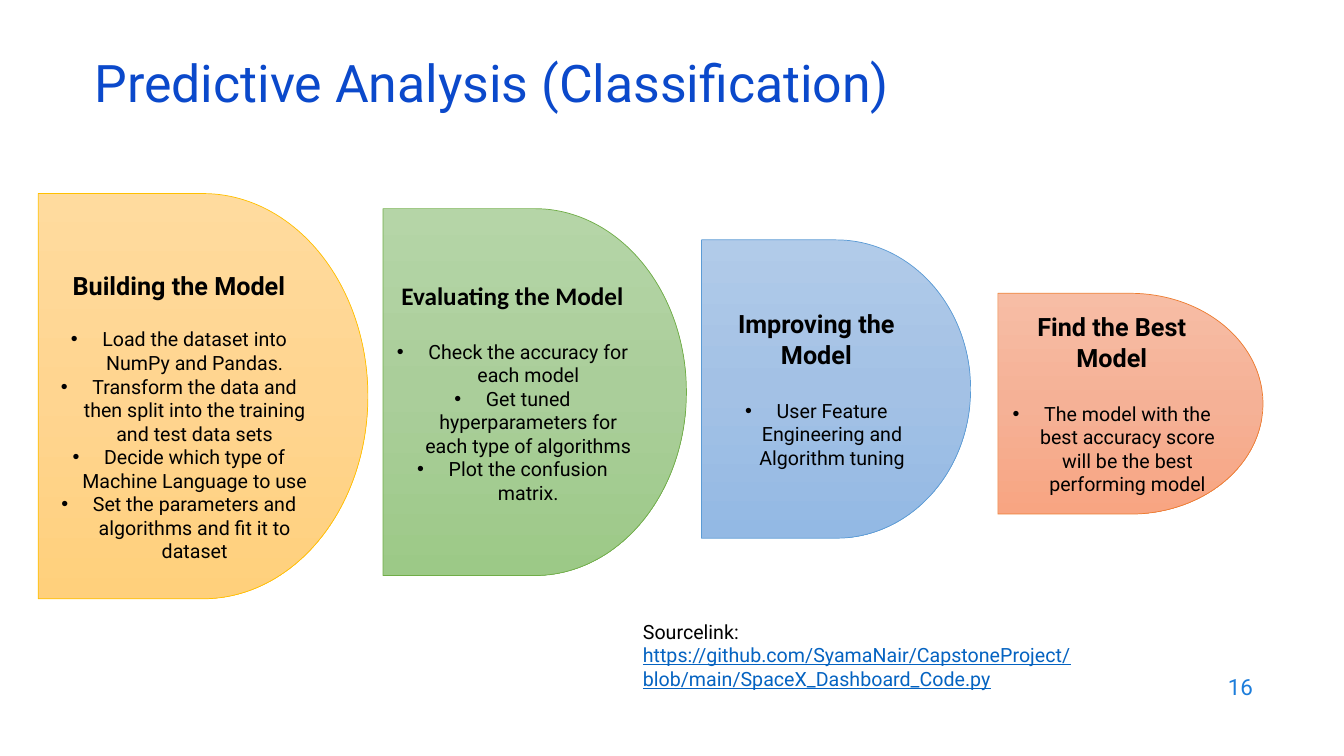
import copy
from dataclasses import dataclass

import pptx
import pptx.dml.color
import pptx.enum.shapes
import pptx.enum.text
import pptx.oxml
import pptx.oxml.ns
import pptx.util
from pptx.util import Pt

ALIGN = pptx.enum.text.PP_ALIGN
ANCHOR = pptx.enum.text.MSO_ANCHOR
AUTO_SIZE = pptx.enum.text.MSO_AUTO_SIZE


@dataclass(frozen=True)
class Theme:
    font: str = "Roboto"
    alternate_font: str = "Calibri"
    title_color: str = "0B49CB"
    number_color: str = "1C7DDB"
    text_color: str = "000000"
    link_color: str = "0563C1"
    title_size: float = 37
    heading_size: float = 18
    number_size: float = 16
    body_size: float = 14
    # Each entry: three gradient stops, then the outline
    yellow: tuple = ("FFDB9E", "FFD590", "FFD07C", "FFC000")
    green: tuple = ("B5D5A7", "AACE9A", "9CC987", "70AD47")
    blue: tuple = ("B1CBE9", "A3C1E5", "93B9E4", "5B9BD5")
    orange: tuple = ("F7BDA5", "F5B196", "F8A582", "ED7D31")


THEME = Theme()

# Heading, heading font, colours, (left, top, width, height), bullets
STAGES = [
    ("Building the Model", THEME.font, THEME.yellow, (27.36, 138.24, 235.44, 289.44),
     ["Load the dataset into NumPy and Pandas.",
      "Transform the data and then split into the training and test data sets",
      "Decide which type of Machine Language to use",
      "Set the parameters and algorithms and fit it to dataset"]),
    ("Evaluating the Model", THEME.alternate_font, THEME.green, (273.6, 149.04, 216.72, 262.08),
     ["Check the accuracy for each model",
      "Get tuned hyperparameters for each type of algorithms",
      "Plot the confusion matrix."]),
    ("Improving the Model", THEME.font, THEME.blue, (501.12, 171.36, 192.24, 213.12),
     ["User Feature Engineering and Algorithm tuning"]),
    ("Find the Best Model", THEME.font, THEME.orange, (712.8, 209.52, 189.36, 157.68),
     ["The model with the best accuracy score will be the best performing model"]),
]


def rgb(value):
    return pptx.dml.color.RGBColor.from_string(value)


def set_attributes(target, values):
    for name, value in values.items():
        setattr(target, name, value)


def write_paragraph(paragraph, text, size, color=THEME.text_color, font=THEME.font,
                    paragraph_format=None, **font_format):
    set_attributes(paragraph, paragraph_format or {})
    run = paragraph.add_run()
    run.text = text
    set_attributes(run.font, {"name": font, "size": Pt(size), **font_format})
    run.font.color.rgb = rgb(color)


def add_bullet(paragraph):
    properties = paragraph._p.get_or_add_pPr()
    properties.set("marL", str(Pt(22.5)))
    properties.set("indent", str(-Pt(22.5)))
    namespace = pptx.oxml.ns.nsdecls("a")
    properties.append(pptx.oxml.parse_xml(f'<a:buFont {namespace} typeface="Arial"/>'))
    properties.append(pptx.oxml.parse_xml(f'<a:buChar {namespace} char="•"/>'))


def add_text_box(slide, box, **frame_format):
    shape = slide.shapes.add_textbox(*map(Pt, box))
    set_attributes(shape.text_frame, {"word_wrap": True, **frame_format})
    return shape.text_frame


def fill_gradient(shape, colors):
    shape.fill.gradient()
    shape.fill.gradient_angle = 270
    stop_list = shape._element.spPr.find(".//" + pptx.oxml.ns.qn("a:gsLst"))
    stop_list.insert(1, copy.deepcopy(stop_list[0]))
    for stop, color, position in zip(shape.fill.gradient_stops, colors, (0, 0.5, 1)):
        stop.color.rgb = rgb(color)
        stop.position = position


def add_stage(slide, heading, heading_font, colors, box, bullets):
    shape = slide.shapes.add_shape(
        pptx.enum.shapes.MSO_SHAPE.FLOWCHART_DELAY, *map(Pt, box))
    shape.shadow.inherit = False
    fill_gradient(shape, colors[:3])
    shape.line.color.rgb = rgb(colors[3])
    shape.line.width = Pt(0.5)

    frame = shape.text_frame
    set_attributes(frame, {"word_wrap": True, "vertical_anchor": ANCHOR.MIDDLE})
    write_paragraph(frame.paragraphs[0], heading, THEME.heading_size, font=heading_font,
                    paragraph_format={"alignment": ALIGN.CENTER}, bold=True)
    for index, text in enumerate(bullets):
        paragraph = frame.add_paragraph()
        add_bullet(paragraph)
        write_paragraph(paragraph, text, THEME.body_size, paragraph_format={
            "alignment": ALIGN.CENTER, "space_before": Pt(0 if index else 21)})
    return frame


def add_title(slide, text):
    title = slide.shapes.title
    set_attributes(title, dict(zip(("left", "top", "width", "height"),
                                   map(Pt, (60.48, 42.48, 828, 43.2)))))
    set_attributes(title.text_frame, {
        "word_wrap": True, "auto_size": AUTO_SIZE.NONE, "vertical_anchor": ANCHOR.MIDDLE})
    write_paragraph(title.text_frame.paragraphs[0], text, THEME.title_size, THEME.title_color,
                    paragraph_format={"alignment": ALIGN.LEFT, "line_spacing": 0.7})


def main():
    presentation = pptx.Presentation()
    set_attributes(presentation, {"slide_width": Pt(960), "slide_height": Pt(540)})
    slide = presentation.slides.add_slide(presentation.slide_layouts[5])

    # Title and page number
    add_title(slide, "Predictive Analysis (Classification)")
    number = add_text_box(slide, (686.16, 474.48, 216, 31.68), vertical_anchor=ANCHOR.MIDDLE)
    write_paragraph(number.paragraphs[0], "16", THEME.number_size, THEME.number_color,
                    paragraph_format={"alignment": ALIGN.RIGHT})

    # Four stages; the longest text starts near the top, the last needs a wider line
    building, _, _, best = [add_stage(slide, *stage) for stage in STAGES]
    set_attributes(building, {"vertical_anchor": ANCHOR.TOP, "margin_top": Pt(12.6)})
    building.paragraphs[1].space_before = Pt(19)
    best.margin_right = Pt(6)

    # Code address
    address = add_text_box(slide, (452.16, 439.2, 335.52, 74.88),
                           auto_size=AUTO_SIZE.SHAPE_TO_FIT_TEXT)
    write_paragraph(address.paragraphs[0], "Sourcelink:", THEME.body_size)
    write_paragraph(
        address.add_paragraph(),
        "https://github.com/SyamaNair/CapstoneProject/blob/main/SpaceX_Dashboard_Code.py",
        THEME.body_size, THEME.link_color, underline=True)

    presentation.save("out.pptx")


if __name__ == "__main__":
    main()
